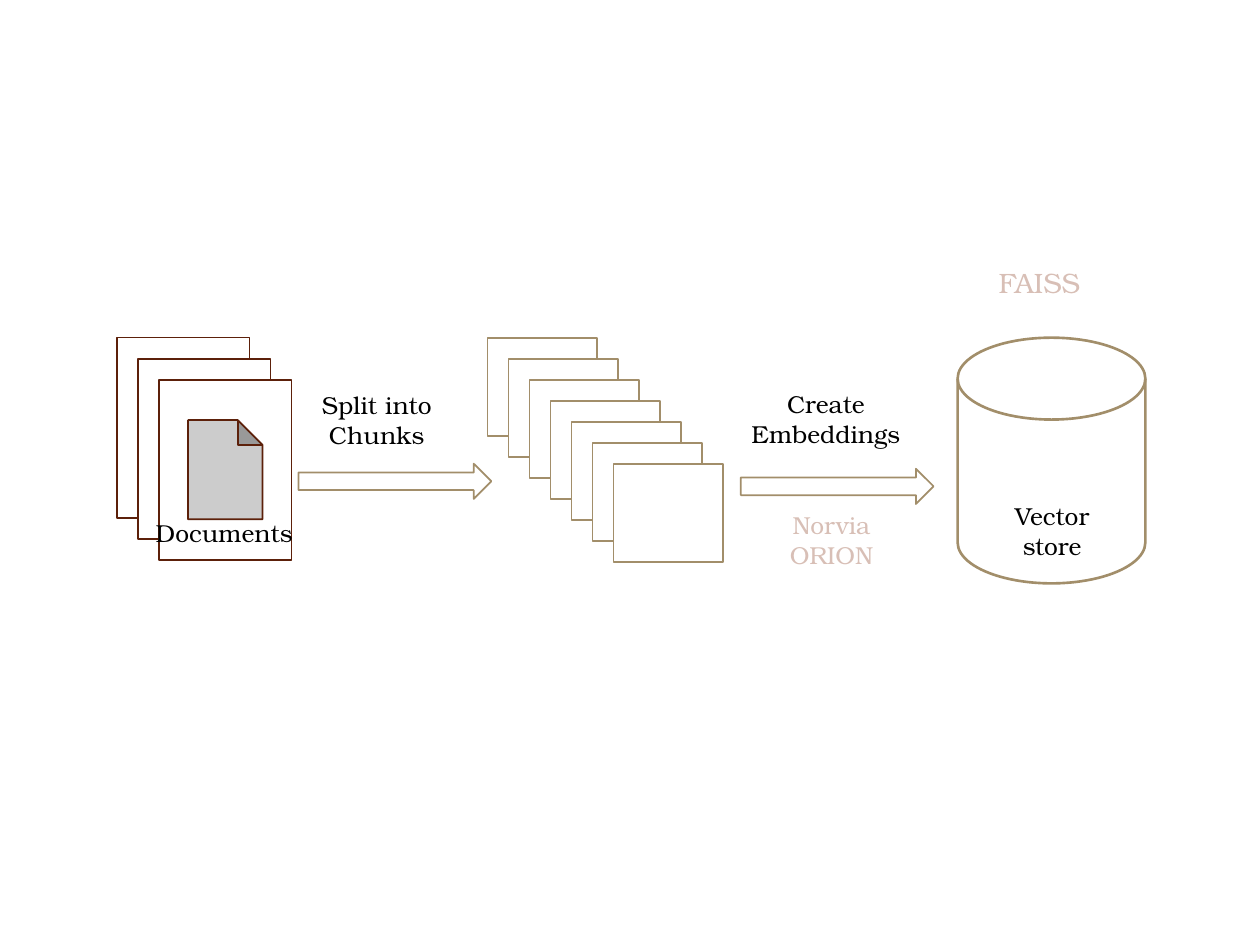
from pptx import Presentation
from pptx import util as u
from pptx.dml.color import RGBColor
from pptx.enum import shapes, text

COLORS = {"white": "FFFFFF", "brown": "5C200A", "tan": "A28E6A",
          "black": "000000", "rose": "D8BFB6"}
FONT = "TeX Gyre Bonum"
KIND = shapes.MSO_SHAPE
STEP = 1 / 6


class Deck:
    def __init__(self, prs):
        self.s = prs.slides.add_slide(prs.slide_layouts[6])

    def color(self, name):
        return RGBColor.from_string(COLORS[name])

    def shape(self, kind, x, y, w, h, line="tan", weight=1):
        sp = self.s.shapes.add_shape(kind, *map(u.Inches, (x, y, w, h)))
        sp.shadow.inherit = False
        sp.fill.solid()
        sp.fill.fore_color.rgb = self.color("white")
        sp.line.color.rgb = self.color(line)
        sp.line.width = u.Pt(weight)

    def stack(self, kind, count, x, y, w, h, line="tan"):
        for i in range(count):
            self.shape(kind, x + i * STEP, y + i * STEP, w, h, line)

    def label(self, words, x, y, w=1.3, h=0.57, color="black", size=14):
        sp = self.s.shapes.add_textbox(*map(u.Inches, (x, y, w, h)))
        tf = sp.text_frame
        tf.word_wrap = True
        tf.auto_size = text.MSO_AUTO_SIZE.SHAPE_TO_FIT_TEXT
        p = tf.paragraphs[0]
        p.alignment = text.PP_ALIGN.CENTER
        r = p.add_run()
        r.text = words
        r.font.name = FONT
        r.font.size = u.Pt(size)
        r.font.color.rgb = self.color(color)


def main():
    prs = Presentation()
    prs.slide_width, prs.slide_height = u.Inches(10), u.Inches(7.5)
    deck = Deck(prs)

    deck.stack(KIND.ACTION_BUTTON_DOCUMENT, 3, 0.93, 2.68, 1.05, 1.43, "brown")
    deck.stack(KIND.RECTANGLE, 7, 3.87, 2.68, 0.87, 0.78)
    deck.shape(KIND.FLOWCHART_MAGNETIC_DISK, 7.6, 2.68, 1.49, 1.95, weight=1.5)
    for x, y in ((2.37, 3.68), (5.88, 3.72)):
        deck.shape(KIND.RIGHT_ARROW, x, y, 1.53, 0.28)

    deck.label("Documents", 1.13, 4.06, h=0.34)
    deck.label("Split into Chunks", 2.34, 3.05)
    deck.label("Create Embeddings", 5.84, 3.04, w=1.43)
    deck.label("Vector store", 7.7, 3.93)
    deck.label("Norvia ORION", 5.95, 4, color="rose")
    deck.label("FAISS", 7.6, 2.06, h=0.37, color="rose", size=16)

    prs.save("out.pptx")


if __name__ == "__main__":
    main()
